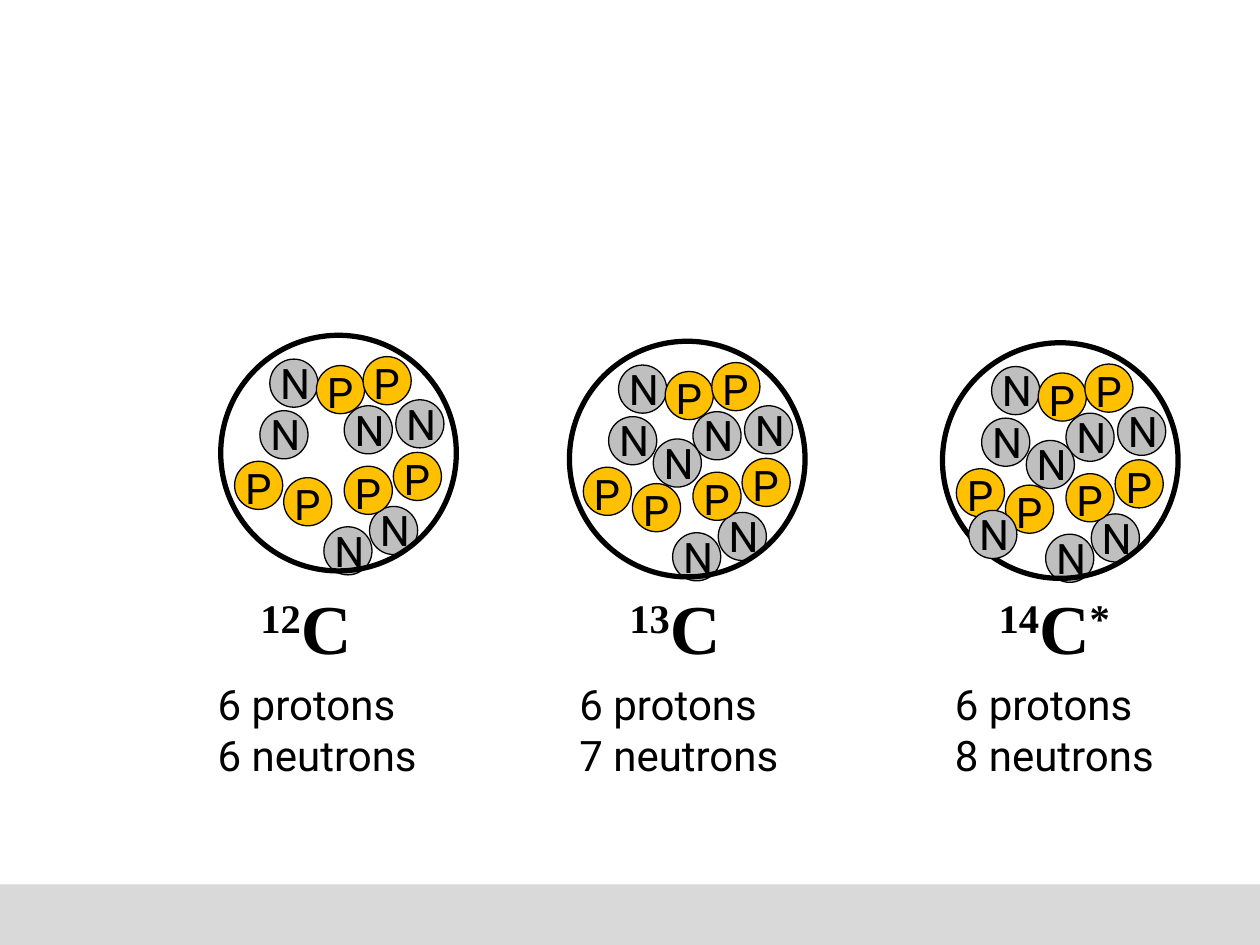
"""Draw the nuclei of three carbon isotopes with their particle counts."""
import pptx
import pptx.dml.color
import pptx.enum.shapes
import pptx.enum.text
import pptx.util

Cm = pptx.util.Cm
Pt = pptx.util.Pt
RGB = pptx.dml.color.RGBColor
BLACK = RGB(0x00, 0x00, 0x00)
GREY = RGB(0xBF, 0xBF, 0xBF)
GOLD = RGB(0xFF, 0xC0, 0x00)
PALE = RGB(0xD9, 0xD9, 0xD9)

BALL = 0.97
RING = 4.75
LABEL = {"name": "Roboto", "size": Pt(24)}
SYMBOL = {"name": "Times New Roman", "size": Pt(40), "bold": True}
NEUTRONS = [(0.99, 0.48), (3, 3.45), (2.08, 3.86), (3.53, 1.3), (0.79, 1.52), (2.49, 1.42)]
PROTONS = [(1.27, 2.87), (2.49, 2.64), (1.93, 0.61), (0.28, 2.54), (2.87, 0.43), (3.48, 2.36)]
EXTRAS = [(1.69, 1.97), (0.53, 3.38)]
ATOMS = [
    (12, 4.45, 6.76, 4.14, ""),
    (13, 11.48, 6.88, 11.43, ""),
    (14, 19, 6.91, 19, "*"),
]


class Pen:
    """Hold the style and the slide, and draw each kind of element."""

    def __init__(self, slide):
        self.slide = slide
        self.shapes = slide.shapes

    def shape(self, kind, x, y, w, h, fill=None, line=None):
        item = self.shapes.add_shape(kind, Cm(x), Cm(y), Cm(w), Cm(h))
        item.shadow.inherit = False
        if fill is None:
            item.fill.background()
        else:
            item.fill.solid()
            item.fill.fore_color.rgb = fill
        if line is None:
            item.line.fill.background()
        else:
            item.line.color.rgb = BLACK
            item.line.width = Pt(line)

    def disc(self, x, y, size, fill=None, line=0.75):
        self.shape(pptx.enum.shapes.MSO_SHAPE.OVAL, x, y, size, size, fill, line)

    def text(self, x, y, w, h, lines, style, wrap=False):
        frame = self.shapes.add_textbox(Cm(x), Cm(y), Cm(w), Cm(h)).text_frame
        frame.word_wrap = wrap
        frame.auto_size = pptx.enum.text.MSO_AUTO_SIZE.SHAPE_TO_FIT_TEXT
        for i, parts in enumerate(lines):
            para = frame.add_paragraph() if i else frame.paragraphs[0]
            for words, lift in parts:
                run = para.add_run()
                run.text = words
                for key, value in style.items():
                    setattr(run.font, key, value)
                run.font.color.rgb = BLACK
                if lift:
                    run._r.get_or_add_rPr().set("baseline", "30000")

    def proton(self, x, y):
        self.disc(x, y, BALL, GOLD)
        self.text(x - 0.04, y - 0.1, 1.09, 1.27, [[("P", False)]], LABEL)

    def letter(self, x, y):
        self.text(x - 0.04, y - 0.16, 1.14, 1.27, [[("N", False)]], LABEL)

    def neutron(self, x, y):
        self.disc(x, y, BALL, GREY)
        self.letter(x, y)

    def nucleus(self, x, y, extras):
        self.shapes = self.slide.shapes.add_group_shape().shapes
        for dx, dy in NEUTRONS:
            self.disc(x + dx, y + dy, BALL, GREY)
        self.disc(x, y, RING, line=3)
        for dx, dy in PROTONS:
            self.proton(x + dx, y + dy)
        for dx, dy in NEUTRONS:
            self.letter(x + dx, y + dy)
        for dx, dy in extras:
            self.neutron(x + dx, y + dy)
        self.shapes = self.slide.shapes

    def symbol(self, x, mass, mark):
        parts = [(str(mass), True), ("C", False)]
        if mark:
            parts.append((mark, True))
        self.text(x, 11.66, 3.5, 1.96, [parts], SYMBOL, True)

    def counts(self, x, mass):
        lines = [[("6 protons", False)], [(f"{mass - 6} neutrons", False)]]
        self.text(x, 13.56, 4.55, 2.31, lines, LABEL)


def main():
    deck = pptx.Presentation()
    deck.slide_width, deck.slide_height = Cm(25.4), Cm(19.05)
    pen = Pen(deck.slides.add_slide(deck.slide_layouts[6]))
    pen.shape(pptx.enum.shapes.MSO_SHAPE.RECTANGLE, 0, 17.83, 25.4, 1.22, PALE)
    for i, (mass, x, y, left, mark) in enumerate(ATOMS):
        pen.nucleus(x, y, EXTRAS[:i])
        pen.symbol(5 + 7.44 * i, mass, mark)
        pen.counts(left, mass)
    deck.save("out.pptx")


if __name__ == "__main__":
    main()
